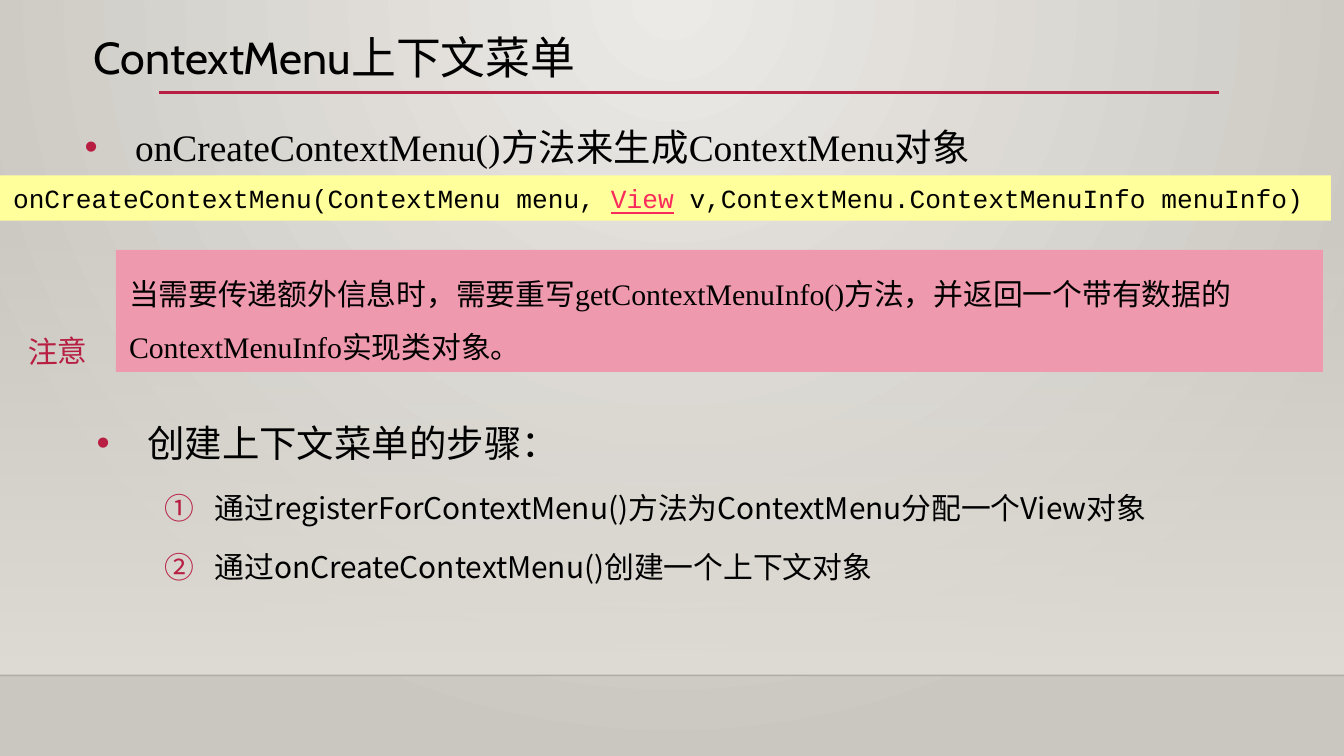
from lxml import etree
from pptx import Presentation
from pptx.dml.color import RGBColor
from pptx.enum.shapes import MSO_CONNECTOR, MSO_SHAPE
from pptx.enum.text import MSO_ANCHOR, MSO_AUTO_SIZE, PP_ALIGN
from pptx.oxml import parse_xml
from pptx.oxml.ns import qn
from pptx.util import Inches, Pt

COLORS = {
    "glow": "ECEAE7", "edge": "CAC7C1", "floor": "DFDBD5", "shade": "000001",
    "accent": "B71E42", "text": "000000", "code": "FFFF9B", "link": "FA2B5C",
    "note": "EE99AD",
}
SERIF, MONO, CJK = "Times New Roman", "Courier New", "Noto Sans CJK SC"
BIG, MEDIUM, CODE_SIZE = 26.7, 21.3, 18.7
DOT = ("buChar", {"char": "•"})
CIRCLED = ("buAutoNum", {"type": "circleNumDbPlain"})
DRAWING = "http://schemas.openxmlformats.org/drawingml/2006/main"


def rgb(name):
    return RGBColor.from_string(COLORS[name])


def gradient(first, last, direction, first_alpha=100):
    return parse_xml(
        f'<a:gradFill xmlns:a="{DRAWING}" rotWithShape="1"><a:gsLst>'
        f'<a:gs pos="0"><a:srgbClr val="{COLORS[first]}">'
        f'<a:alpha val="{first_alpha * 1000}"/></a:srgbClr></a:gs>'
        f'<a:gs pos="100000"><a:srgbClr val="{COLORS[last]}"/></a:gs>'
        f'</a:gsLst>{direction}</a:gradFill>')


def swap_gradient(fill, parent, new_gradient):
    fill.gradient()
    parent.replace(parent.find(qn("a:gradFill")), new_gradient)


def add_rule(slide, left, right, top, color, width, alpha=None):
    line = slide.shapes.add_connector(
        MSO_CONNECTOR.STRAIGHT, Inches(left), Inches(top), Inches(right), Inches(top))
    line.line.color.rgb = rgb(color)
    line.line.width = Pt(width)
    properties = line._element.spPr
    etree.SubElement(properties, qn("a:effectLst"))
    if alpha is not None:
        color_element = next(properties.iter(qn("a:srgbClr")))
        etree.SubElement(color_element, qn("a:alpha"), val=str(alpha * 1000))


def add_box(slide, box, fill=None):
    """Add a text box, or a filled rectangle, and return it."""
    frame = [Inches(length) for length in box]
    if fill:
        shape = slide.shapes.add_shape(MSO_SHAPE.RECTANGLE, *frame)
        shape.shadow.inherit = False
        shape.fill.solid()
        shape.fill.fore_color.rgb = rgb(fill)
        shape.line.fill.background()
    else:
        shape = slide.shapes.add_textbox(*frame)
    text = shape.text_frame
    text.word_wrap = True
    text.vertical_anchor = MSO_ANCHOR.MIDDLE
    text.margin_left = text.margin_right = Inches(0.13)
    text.margin_top = text.margin_bottom = Inches(0.07)
    return shape


def style(paragraph, font, size, color="text", spacing=None, before=None):
    paragraph.alignment = PP_ALIGN.LEFT
    paragraph.line_spacing = spacing
    if before is not None:
        paragraph.space_before = Pt(before)
    paragraph.font.name = font
    paragraph.font.size = Pt(size)
    paragraph.font.color.rgb = rgb(color)
    latin = paragraph.font._element.find(qn("a:latin"))
    latin.addnext(latin.makeelement(qn("a:ea"), typeface=CJK))


def add_bullet(paragraph, bullet, indent):
    tag, attributes = bullet
    properties = paragraph._p.get_or_add_pPr()
    properties.set("marL", str(Inches(indent)))
    properties.set("indent", str(Inches(-0.5)))
    defaults = properties.find(qn("a:defRPr"))
    color = properties.makeelement(qn("a:buClr"))
    etree.SubElement(color, qn("a:srgbClr"), val=COLORS["accent"])
    defaults.addprevious(color)
    if bullet is DOT:
        defaults.addprevious(properties.makeelement(qn("a:buFont"), typeface="Arial"))
    defaults.addprevious(properties.makeelement(qn(f"a:{tag}"), **attributes))


def add_backdrop(slide, width, floor_top, horizon):
    background = slide.background.fill
    background.gradient()
    old = next(slide._element.iter(qn("a:gradFill")))
    focus = ('<a:path path="circle"><a:fillToRect l="43000" t="0" r="43000" b="100000"/>'
             '</a:path>')
    old.getparent().replace(old, gradient("glow", "edge", focus))
    floor = add_box(slide, (0, floor_top, width, horizon - floor_top), "floor")
    swap_gradient(floor.fill, floor._element.spPr,
                  gradient("floor", "floor", '<a:lin ang="5400000" scaled="0"/>', 0))
    add_rule(slide, 0, width, horizon, "shade", 1, alpha=20)


def add_title(slide, left, top, width, height):
    title = slide.shapes.title
    title.left, title.top = Inches(left), Inches(top)
    title.width, title.height = Inches(width), Inches(height)
    text = title.text_frame
    text.text = "ContextMenu上下文菜单"
    text.auto_size = MSO_AUTO_SIZE.NONE
    text.vertical_anchor = MSO_ANCHOR.TOP
    style(text.paragraphs[0], "Cabin", 32, spacing=0.9)
    add_rule(slide, left + 0.75, left + 11.26, top + 0.62, "accent", 2.5)


def add_list(slide, box, items):
    text = add_box(slide, box).text_frame
    for index, (content, bullet) in enumerate(items):
        paragraph = text.add_paragraph() if index else text.paragraphs[0]
        paragraph.text = content
        is_step = bullet is CIRCLED
        paragraph.level = int(is_step)
        size = MEDIUM if is_step else BIG
        style(paragraph, CJK if is_step else SERIF, size, spacing=1.5, before=size * 0.2)
        add_bullet(paragraph, bullet, 1.17 if is_step else 0.5)


def add_signature(slide, box):
    paragraph = add_box(slide, box, "code").text_frame.paragraphs[0]
    for content in ("onCreateContextMenu(ContextMenu menu, ", "View",
                    " v,ContextMenu.ContextMenuInfo menuInfo)"):
        run = paragraph.add_run()
        run.text = content
        if content == "View":
            run.font.color.rgb = rgb("link")
            run.font.underline = True
    style(paragraph, MONO, CODE_SIZE)


def add_note(slide, left, top, width, height):
    label = add_box(slide, (left, top + 0.77, 1.05, 0.46))
    label.rotation = 359
    label.text_frame.margin_left = label.text_frame.margin_right = Inches(0.1)
    caption = label.text_frame.paragraphs[0]
    caption.text = "注意"
    style(caption, CJK, MEDIUM, "accent")
    panel = add_box(slide, (left + 0.97, top, width - 0.97, height), "note")
    message = panel.text_frame.paragraphs[0]
    message.text = ("当需要传递额外信息时，需要重写getContextMenuInfo()方法，"
                    "并返回一个带有数据的ContextMenuInfo实现类对象。")
    style(message, SERIF, MEDIUM, spacing=1.5, before=MEDIUM * 0.2)


def main():
    presentation = Presentation()
    presentation.slide_width, presentation.slide_height = Inches(13.33), Inches(7.5)
    slide = presentation.slides.add_slide(presentation.slide_layouts[5])
    add_backdrop(slide, 13.33, 2.21, 6.7)
    add_title(slide, 0.83, 0.3, 8.48, 0.81)
    add_list(slide, (0.71, 0.98, 11.35, 0.73), [
        ("onCreateContextMenu()方法来生成ContextMenu对象", DOT)])
    add_signature(slide, (0, 1.74, 13.2, 0.45))
    add_list(slide, (0.83, 3.86, 11.77, 2.03), [
        ("创建上下文菜单的步骤：", DOT),
        ("通过registerForContextMenu()方法为ContextMenu分配一个View对象", CIRCLED),
        ("通过onCreateContextMenu()创建一个上下文对象", CIRCLED)])
    add_note(slide, 0.18, 2.48, 12.94, 1.21)
    presentation.save("out.pptx")


if __name__ == "__main__":
    main()
